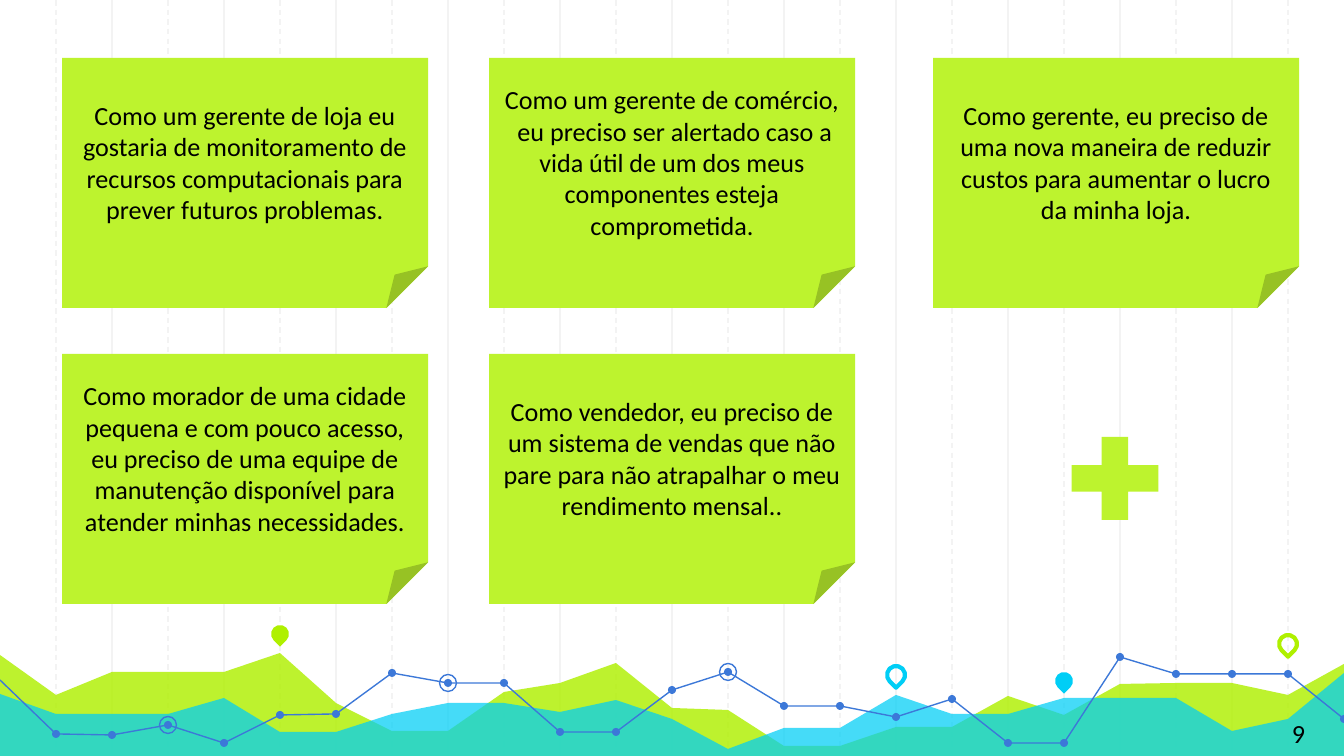
from lxml.etree import SubElement
from pptx import Presentation
from pptx.dml.color import RGBColor
from pptx.enum.dml import MSO_LINE
from pptx.enum.shapes import MSO_CONNECTOR, MSO_SHAPE
from pptx.enum.text import MSO_ANCHOR, PP_ALIGN
from pptx.oxml.ns import qn
from pptx.util import Pt

# Content
STORIES = [
    "Como um gerente de loja eu gostaria de monitoramento de recursos "
    "computacionais para prever futuros problemas.",
    "Como um gerente de comércio,  eu preciso ser alertado caso a vida útil "
    "de um dos meus componentes esteja comprometida.",
    "Como gerente, eu preciso de uma nova maneira de reduzir custos para "
    "aumentar o lucro da minha loja.",
    "Como morador de uma cidade pequena e com pouco acesso, eu preciso de uma "
    "equipe de manutenção disponível para atender minhas necessidades.",
    "Como vendedor, eu preciso de um sistema de vendas que não pare para não "
    "atrapalhar o meu rendimento mensal..",
]
PAGE_NUMBER = "9"

# Heights in px, one for each grid column from 0 to 24
GREEN_HILLS = [655, 695, 672, 672, 672, 653, 703, 731, 731, 692, 683, 663, 708,
               710, 746, 746, 727, 727, 696, 715, 684, 683, 683, 695, 664]
BLUE_HILLS = [694, 714, 714, 714, 698, 732, 732, 714, 703, 703, 712, 700, 719,
              749, 728, 728, 695, 714, 714, 698, 698, 698, 731, 719, 673]
TREND = [680, 734, 735, 725, 743, 715, 714, 673, 683, 683, 732, 732, 690,
         672, 706, 706, 717, 699, 743, 743, 657, 674, 674, 674, 719]
TREND_PARTS = [(0, 11), (11, 20), (20, 24)]
RINGED_COLUMNS = [3, 8, 13]
PINS = [  # column, centre y, colour, filled
    (5, 634, "lime", True),
    (16, 675, "cyan", False),
    (19, 681, "cyan", True),
    (23, 644, "lime", False),
]

COLORS = {"grid": "F3F3F3", "lime": "AFF000", "cyan": "00CEF6",
          "trend": "3C78D8", "note": "BDF32E", "text": "000000"}
FONT = "Calibri"

# Geometry in px
WIDTH, HEIGHT = 1344, 756
PX = 914400 / 134.4
STEP = 56
NOTE_LEFTS, NOTE_TOPS = [62, 489, 933], [58, 354]
NOTE_WIDTH, NOTE_HEIGHT = 366, 250
DOT, RING, PIN = 8, 17, 18


def emu(*lengths):
    return [round(length * PX) for length in lengths]


def rgb(name):
    return RGBColor.from_string(COLORS[name])


def paint(shape, fill=None, line=None, weight=0.75, alpha=None):
    shape.shadow.inherit = False
    if fill:
        shape.fill.solid()
        shape.fill.fore_color.rgb = rgb(fill)
        if alpha:
            color = shape.fill._xPr.find(qn("a:solidFill"))[0]
            SubElement(color, qn("a:alpha")).set("val", str(alpha * 1000))
    else:
        shape.fill.background()
    if line:
        shape.line.color.rgb = rgb(line)
        shape.line.width = Pt(weight)
    else:
        shape.line.fill.background()


def add_preset(kind, left, top, width, height, **look):
    shape = shapes.add_shape(kind, *emu(left, top, width, height))
    paint(shape, **look)
    return shape


def add_centred(kind, column, y, size, **look):
    return add_preset(kind, column * STEP - size / 2, y - size / 2, size, size, **look)


def add_path(points, close, **look):
    builder = shapes.build_freeform(*points[0], scale=PX)
    builder.add_line_segments(points[1:], close=close)
    paint(builder.convert_to_shape(), **look)


def write(shape, text):
    frame = shape.text_frame
    frame.word_wrap = True
    frame.vertical_anchor = MSO_ANCHOR.MIDDLE
    frame.text = text
    paragraph = frame.paragraphs[0]
    paragraph.alignment = PP_ALIGN.CENTER
    font = paragraph.runs[0].font
    font.name, font.size = FONT, Pt(14)
    font.color.rgb = rgb("text")


prs = Presentation()
prs.slide_width, prs.slide_height = emu(WIDTH, HEIGHT)
shapes = prs.slides.add_slide(prs.slide_layouts[6]).shapes

# Vertical grid: solid on even columns, dashed on odd ones
for first, dash in [(2, None), (1, MSO_LINE.DASH)]:
    for column in range(first, 24, 2):
        x = column * STEP
        rule = shapes.add_connector(MSO_CONNECTOR.STRAIGHT, *emu(x, 0, x, HEIGHT))
        rule.line.color.rgb = rgb("grid")
        rule.line.width = Pt(0.75)
        rule.line.dash_style = dash
        SubElement(rule._element.spPr, qn("a:effectLst"))

# Hills
for heights, color, alpha in [(GREEN_HILLS, "lime", 82), (BLUE_HILLS, "cyan", 73)]:
    ridge = [(column * STEP, y) for column, y in enumerate(heights)]
    add_path(ridge + [(WIDTH, HEIGHT), (0, HEIGHT)], True, fill=color, alpha=alpha)

# Trend line with dots and rings
trend_points = [(column * STEP, y) for column, y in enumerate(TREND)]
for start, end in TREND_PARTS:
    add_path(trend_points[start:end + 1], False, line="trend")
for column, y in enumerate(TREND[1:], start=1):
    add_centred(MSO_SHAPE.OVAL, column, y, DOT, fill="trend")
for column in RINGED_COLUMNS:
    add_centred(MSO_SHAPE.OVAL, column, TREND[column], RING, line="trend")

# Map pins
for column, y, color, filled in PINS:
    look = {"fill": color} if filled else {"line": color, "weight": 2.25}
    pin = add_centred(MSO_SHAPE.TEAR, column, y, PIN, **look)
    pin.rotation = 135

# Page number
page = shapes.add_textbox(*emu(1258, 710, 81, 47))
write(page, PAGE_NUMBER)

# User story notes
for index, story in enumerate(STORIES):
    row, column = divmod(index, len(NOTE_LEFTS))
    note = add_preset(MSO_SHAPE.FOLDED_CORNER, NOTE_LEFTS[column], NOTE_TOPS[row],
                      NOTE_WIDTH, NOTE_HEIGHT, fill="note")
    write(note, story)

# Plus sign in the free cell
add_preset(MSO_SHAPE.MATH_PLUS, 1056, 422, 118, 113, fill="note")

prs.save("out.pptx")
